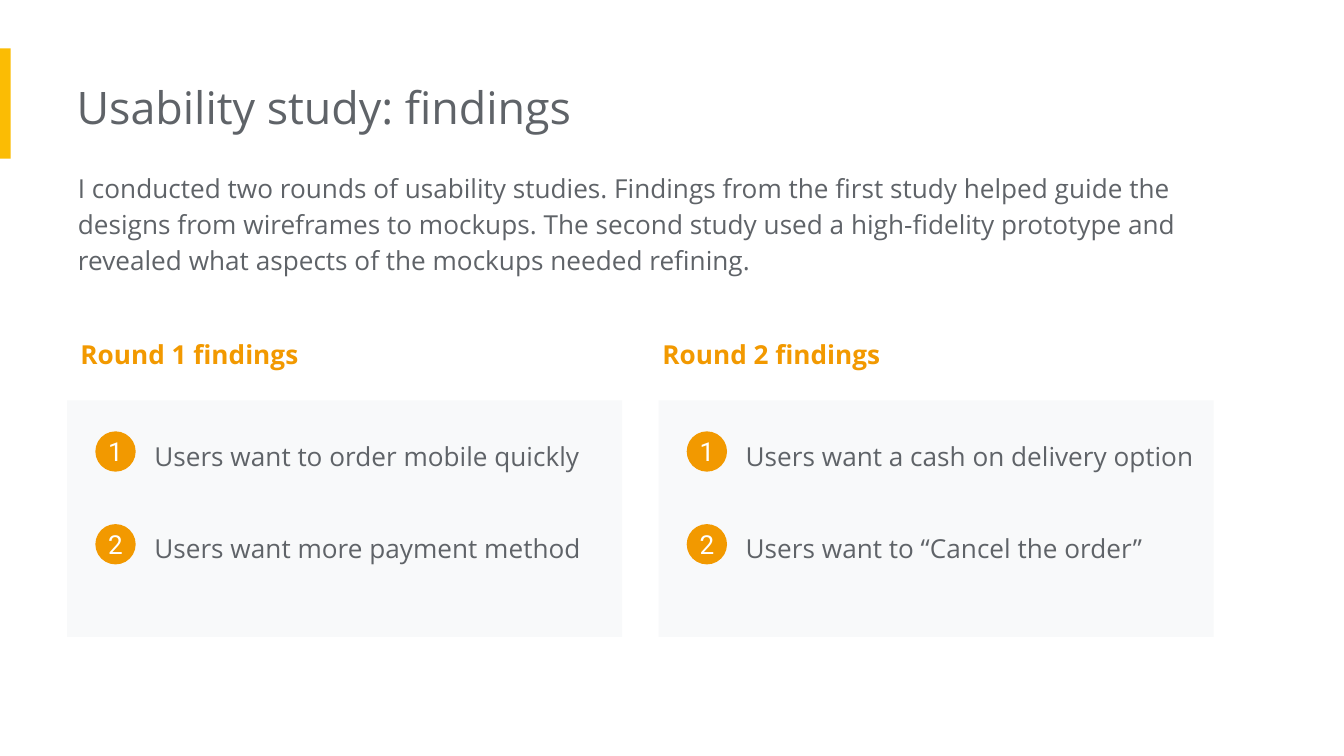
"""Builds the usability study findings slide."""
from pptx import Presentation
from pptx.dml.color import RGBColor
from pptx.enum.shapes import MSO_SHAPE
from pptx.enum.text import MSO_ANCHOR, PP_ALIGN
from pptx.util import Pt

SCALE = 4572
COLOURS = {
    "accent": "FBBC04",
    "orange": "F29900",
    "grey": "5F6368",
    "panel": "F8F9FA",
    "white": "FFFFFF",
}
INTRODUCTION = (
    "I conducted two rounds of usability studies. Findings from the first study "
    "helped guide the designs from wireframes to mockups. The second study used "
    "a high-fidelity prototype and revealed what aspects of the mockups needed refining."
)
ROUNDS = [
    ("Round 1 findings", 100, 100,
     ["Users want to order mobile quickly", "Users want more payment method"]),
    ("Round 2 findings", 966, 980,
     ["Users want a cash on delivery option", "Users want to “Cancel the order”"]),
]
FINDING_TOP = 628
FINDING_STEP = 138


class FindingsSlide:
    def __init__(self, presentation):
        self.slide = presentation.slides.add_slide(presentation.slide_layouts[6])

    def colour(self, name):
        return RGBColor.from_string(COLOURS[name])

    def shape(self, kind, box, fill):
        shape = self.slide.shapes.add_shape(kind, *(n * SCALE for n in box))
        shape.shadow.inherit = False
        shape.fill.solid()
        shape.fill.fore_color.rgb = self.colour(fill)
        shape.line.fill.background()
        return shape

    def fill_text(self, text_frame, text, margins, colour="grey", size=14,
                  font="Open Sans", bold=False):
        text_frame.text = text
        text_frame.word_wrap = True
        (text_frame.margin_left, text_frame.margin_top,
         text_frame.margin_right, text_frame.margin_bottom) = (n * SCALE for n in margins)
        paragraph = text_frame.paragraphs[0]
        run_font = paragraph.runs[0].font
        run_font.name = font
        run_font.size = Pt(size)
        run_font.bold = bold
        run_font.color.rgb = self.colour(colour)
        return paragraph

    def text(self, box, text, left_margin=20, spacing=1.15, **style):
        shape = self.slide.shapes.add_textbox(*(n * SCALE for n in box))
        margins = (left_margin, 20, 20, 20)
        paragraph = self.fill_text(shape.text_frame, text, margins, **style)
        paragraph.line_spacing = spacing

    def badge(self, left, top, number):
        shape = self.shape(MSO_SHAPE.OVAL, (left, top, 60, 60), "orange")
        paragraph = self.fill_text(shape.text_frame, str(number), (0, 0, 0, 0),
                                   colour="white", font="Roboto")
        paragraph.alignment = PP_ALIGN.CENTER
        shape.text_frame.vertical_anchor = MSO_ANCHOR.MIDDLE

    def findings(self, heading, heading_left, panel_left, findings):
        self.text((heading_left, 476, 730, 88), heading, colour="orange", bold=True)
        self.shape(MSO_SHAPE.RECTANGLE, (panel_left, 596, 826, 352), "panel")
        for index, finding in enumerate(findings):
            top = FINDING_TOP + index * FINDING_STEP
            self.text((panel_left + 110, top, 730, 88), finding)
            self.badge(panel_left + 42, top + 14, index + 1)


def main():
    presentation = Presentation()
    presentation.slide_width = 2000 * SCALE
    presentation.slide_height = 1125 * SCALE
    slide = FindingsSlide(presentation)
    slide.shape(MSO_SHAPE.RECTANGLE, (0, 72, 16, 164), "accent")
    slide.text((114, 98, 1346, 122), "Usability study: findings",
               left_margin=0, spacing=1.0, size=24)
    slide.text((116, 230, 1722, 196), INTRODUCTION, left_margin=0)
    for study_round in ROUNDS:
        slide.findings(*study_round)
    presentation.save("out.pptx")


if __name__ == "__main__":
    main()
